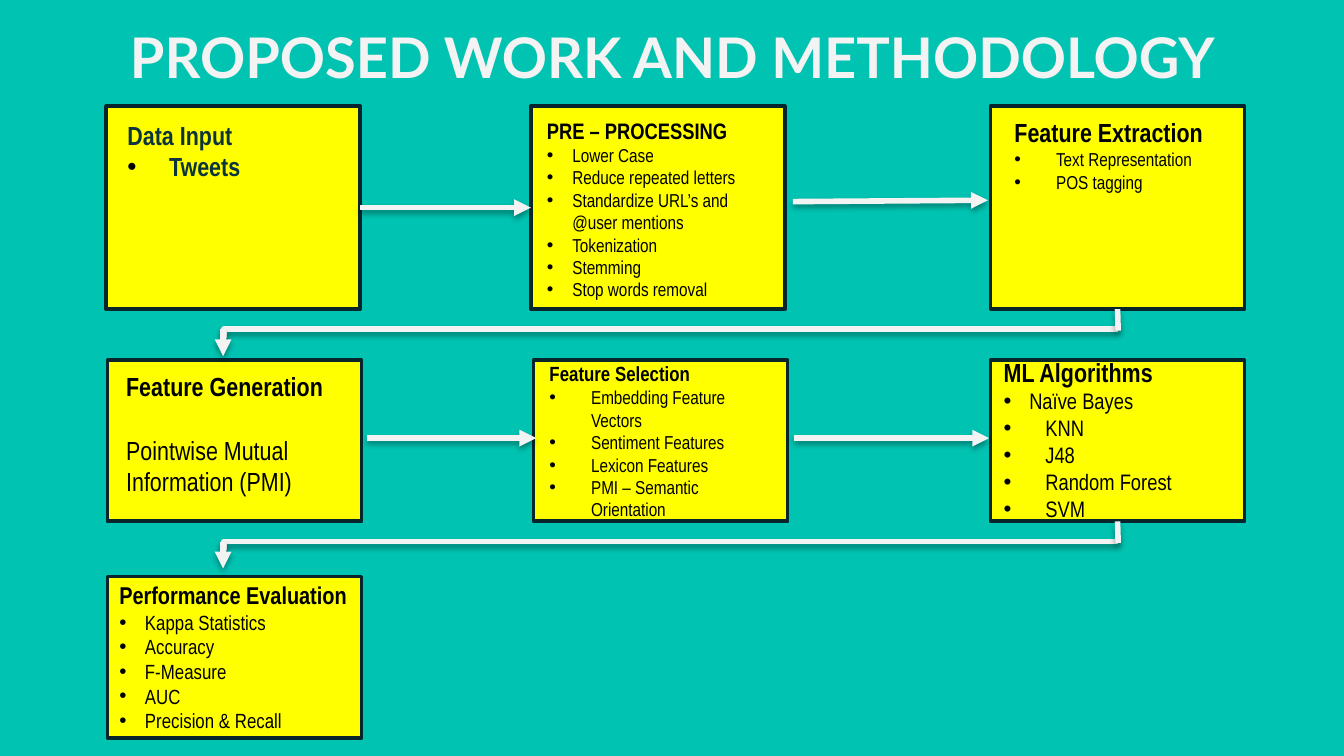
from lxml.etree import SubElement
from pptx import Presentation
from pptx.dml.color import RGBColor
from pptx.enum.shapes import MSO_CONNECTOR, MSO_SHAPE
from pptx.enum.text import MSO_ANCHOR, MSO_AUTO_SIZE, PP_ALIGN
from pptx.oxml.ns import qn
from pptx.util import Inches, Pt

COLORS = {"back": "00C3B1", "box": "FFFF00", "edge": "08252C",
          "light": "F3F3F3", "text": "000000", "input": "0C343D"}
TITLE = "PROPOSED WORK AND METHODOLOGY"
NARROW, WIDE = 0.19, 0.31  # bullet indents
BOX_W = 1.89
ROWS = [(0.79, 1.51), (2.68, 1.2), (4.29, 1.2)]  # top, height

# Each step: row, box left, text area, heading and its size, item size, items
STEPS = [
    dict(row=0, left=0.79, area=(0.85, 0.84, 1.84, 0.57), head="Data Input",
         head_size=14, size=14, color="input", bold=True,
         items=[("Tweets", WIDE)]),
    dict(row=0, left=3.95, area=(3.97, 0.82, 1.78, 1.68), head="PRE – PROCESSING",
         head_size=12, size=10,
         items=[(t, NARROW) for t in (
             "Lower Case", "Reduce repeated letters",
             "Standardize URL’s and @user mentions",
             "Tokenization", "Stemming", "Stop words removal")]),
    dict(row=0, left=7.37, area=(7.45, 0.82, 1.73, 0.67), head="Feature Extraction",
         head_size=14, size=10,
         items=[("Text Representation", WIDE), ("POS tagging", WIDE)]),
    dict(row=1, left=0.8, area=(0.84, 2.71, 1.78, 1.28), head="Feature Generation",
         head_size=14, size=14, gap=17,
         items=[("Pointwise Mutual Information (PMI)", 0)]),
    dict(row=1, left=3.97, area=(3.99, 2.64, 1.86, 1.35), head="Feature Selection",
         head_size=11, size=10,
         items=[(t, WIDE) for t in (
             "Embedding Feature Vectors", "Sentiment Features",
             "Lexicon Features", "PMI – Semantic Orientation")]),
    dict(row=1, left=7.37, area=(7.37, 2.6, 2.03, 1.35), head="ML Algorithms",
         head_size=14, size=12,
         items=[("Naïve Bayes", NARROW)] + [
             (t, WIDE) for t in ("KNN", "J48", "Random Forest", "SVM")]),
    dict(row=2, left=0.8, area=(0.79, 4.27, 2.03, 1.25), head="Performance Evaluation",
         head_size=13, size=11,
         items=[(t, NARROW) for t in (
             "Kappa Statistics", "Accuracy", "F-Measure", "AUC",
             "Precision & Recall")]),
]

# Arrows between neighbours in a row, and the returns to the next row
ARROWS = [((2.7, 1.55), (3.95, 1.55)), ((5.9, 1.5), (7.35, 1.49)),
          ((2.73, 3.26), (3.99, 3.26)), ((5.91, 3.26), (7.36, 3.26))]
RETURN_LEFT, RETURN_RIGHT = 1.66, 8.32
RETURNS = [(2, 2.45), (5, 4.03)]  # index of the step left, height of the bend


def rgb(name):
    return RGBColor.from_string(COLORS[name])


def add_run(p, text, size, font, color, bold):
    r = p.add_run()
    r.text = text
    r.font.size, r.font.name, r.font.bold = Pt(size), font, bold
    r.font.color.rgb = rgb(color)


def add_bullet(p, indent):
    pPr = p._p.get_or_add_pPr()
    pPr.set("marL", str(Inches(indent)))
    pPr.set("indent", str(-Inches(indent)))
    clr = SubElement(pPr, qn("a:buClr"))
    SubElement(clr, qn("a:srgbClr"), val=COLORS["text"])
    SubElement(pPr, qn("a:buFont"), typeface="Arial")
    SubElement(pPr, qn("a:buChar"), char="•")


def add_box(s, step):
    top, height = ROWS[step["row"]]
    sp = s.shapes.add_shape(MSO_SHAPE.RECTANGLE, Inches(step["left"]), Inches(top),
                            Inches(BOX_W), Inches(height))
    sp.shadow.inherit = False
    sp.fill.solid()
    sp.fill.fore_color.rgb = rgb("box")
    sp.line.color.rgb = rgb("edge")
    sp.line.width = Pt(2)
    return sp


def add_text(s, step):
    tf = s.shapes.add_textbox(*map(Inches, step["area"])).text_frame
    tf.word_wrap = True
    color = step.get("color", "text")
    add_run(tf.paragraphs[0], step["head"], step["head_size"], "Arial Narrow", color, True)
    for text, indent in step["items"]:
        p = tf.add_paragraph()
        p.space_before = Pt(step.get("gap", 0))
        if indent:
            add_bullet(p, indent)
        add_run(p, text, step["size"], "Arial Narrow", color, step.get("bold", False))


def add_line(s, start, end, arrow=False, kind=MSO_CONNECTOR.STRAIGHT):
    c = s.shapes.add_connector(kind, *map(Inches, start + end))
    c.line.color.rgb = rgb("light")
    c.line.width = Pt(3)
    if arrow:
        SubElement(c.line._get_or_add_ln(), qn("a:tailEnd"), type="triangle")
    effects = SubElement(c._element.spPr, qn("a:effectLst"))
    shadow = SubElement(effects, qn("a:outerShdw"), blurRad=str(Pt(3.1)),
                        dist=str(Pt(1.8)), dir="5400000", rotWithShape="0")
    clr = SubElement(shadow, qn("a:srgbClr"), val="000000")
    SubElement(clr, qn("a:alpha"), val="35000")
    return c


def add_return(s, box, y):
    bend = add_line(s, (RETURN_RIGHT, y), (RETURN_LEFT, y + 0.06),
                    kind=MSO_CONNECTOR.ELBOW)
    geom = bend._element.spPr.find(qn("a:prstGeom"))
    guides = geom.find(qn("a:avLst"))
    if guides is None:
        guides = SubElement(geom, qn("a:avLst"))
    SubElement(guides, qn("a:gd"), name="adj1", fmla="val 99900")
    add_line(s, (RETURN_LEFT, y), (RETURN_LEFT, y + 0.2), arrow=True)
    drop = add_line(s, (RETURN_RIGHT, y - 0.15), (RETURN_RIGHT, y + 0.01))
    drop.begin_connect(box, 2)


def main():
    prs = Presentation()
    prs.slide_width = Inches(10)
    prs.slide_height = prs.slide_width * 9 // 16
    s = prs.slides.add_slide(prs.slide_layouts[5])
    s.background.fill.solid()
    s.background.fill.fore_color.rgb = rgb("back")

    # Title
    title = s.shapes.title
    title.left, title.top, title.width, title.height = map(Inches, (0.79, 0.07, 8.43, 0.63))
    tf = title.text_frame
    tf.margin_left = tf.margin_right = tf.margin_top = tf.margin_bottom = Inches(0.1)
    tf.vertical_anchor = MSO_ANCHOR.TOP
    tf.auto_size = MSO_AUTO_SIZE.NONE
    p = tf.paragraphs[0]
    p.alignment = PP_ALIGN.CENTER
    add_run(p, TITLE, 30, "Lato", "light", True)

    # Boxes, then their text
    boxes = [add_box(s, step) for step in STEPS]
    for step in STEPS:
        add_text(s, step)

    # Arrows within the rows
    arrows = [add_line(s, start, end, arrow=True) for start, end in ARROWS]
    arrows[0].begin_connect(boxes[0], 3)
    arrows[0].end_connect(boxes[1], 1)

    # Returns to the next row
    for index, y in RETURNS:
        add_return(s, boxes[index], y)

    prs.save("out.pptx")


if __name__ == "__main__":
    main()
